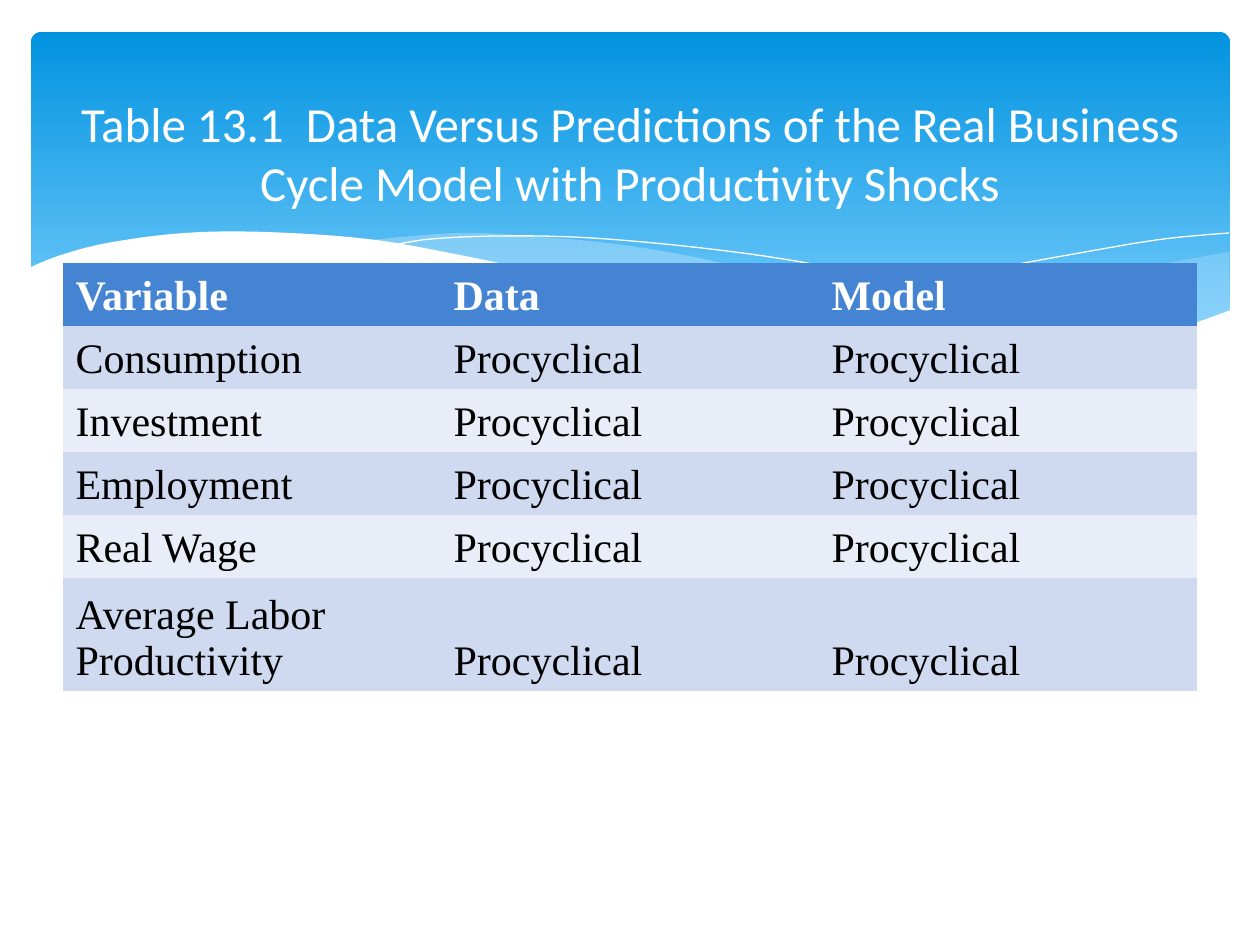
from lxml import etree
from pptx import Presentation
from pptx.dml.color import RGBColor
from pptx.enum.shapes import MSO_SHAPE
from pptx.enum.text import MSO_ANCHOR, MSO_AUTO_SIZE, PP_ALIGN
from pptx.oxml.ns import qn
from pptx.util import Pt

ROUNDED = MSO_SHAPE.ROUNDED_RECTANGLE
MIDDLE, BOTTOM = MSO_ANCHOR.MIDDLE, MSO_ANCHOR.BOTTOM
LEFT, CENTER = PP_ALIGN.LEFT, PP_ALIGN.CENTER
NO_FIT = MSO_AUTO_SIZE.NONE

SCALE = 914400 / 126  # EMU per px

WHITE = RGBColor(0xFF, 0xFF, 0xFF)
BLACK = RGBColor(0x00, 0x00, 0x00)
SKY_TOP = RGBColor(0x02, 0x93, 0xE0)
SKY_BOTTOM = RGBColor(0x83, 0xD3, 0xFE)
WAVE = RGBColor(0xC6, 0xE7, 0xFC)
HEADER = RGBColor(0x45, 0x84, 0xD3)
BANDS = (RGBColor(0xCF, 0xD9, 0xEF), RGBColor(0xE9, 0xED, 0xF7))

TITLE = ("Table 13.1  Data Versus Predictions of the Real Business "
         "Cycle Model with Productivity Shocks")
VARIABLES = ["Consumption", "Investment", "Employment", "Real Wage",
             "Average Labor Productivity"]
ROWS = [("Variable", "Data", "Model")]
ROWS += [(name, "Procyclical", "Procyclical") for name in VARIABLES]

# Knots of the wave curves, in px
RIGHT_TOP = [(1229, 252), (1142, 268), (1048, 290), (949, 312), (833, 334)]
RIGHT_BOTTOM = [(833, 334), (905, 344), (984, 349), (1063, 349),
                (1140, 339), (1196, 324), (1230, 311)]
MIDDLE_TOP = [(1125, 344), (1055, 334), (934, 311), (793, 280), (699, 258),
              (616, 244), (529, 236), (455, 233), (360, 241)]
MIDDLE_BOTTOM = [(360, 241), (456, 256), (566, 280), (668, 302), (779, 325),
                 (876, 340), (974, 350), (1043, 350), (1125, 344)]
LEFT_LINE = [(389, 246), (432, 239), (505, 236), (591, 238), (701, 248),
             (801, 262), (916, 285), (1047, 316), (1143, 343)]
RIGHT_LINE = [(772, 324), (876, 296), (978, 272), (1091, 251),
              (1164, 239), (1229, 233)]
FRONT_TOP = [(1231, 310), (1172, 330), (1103, 344), (1019, 349), (915, 343),
             (789, 325), (667, 301), (563, 277), (460, 255), (368, 239),
             (266, 232), (184, 233), (107, 243), (58, 256), (29, 268)]
FRONT_BASE = [(29, 415), (1231, 415)]


def px(n):
    return round(n * SCALE)


def smooth(knots, steps=6):
    """Return points of a Catmull-Rom curve through the knots."""
    ends = [knots[0], *knots, knots[-1]]
    points = [knots[0]]
    for a, b, c, d in zip(ends, ends[1:], ends[2:], ends[3:]):
        for i in range(1, steps + 1):
            t = i / steps
            points.append(tuple(
                (2 * q + (r - p) * t + (2 * p - 5 * q + 4 * r - s) * t ** 2
                 + (3 * q - p - 3 * r + s) * t ** 3) / 2
                for p, q, r, s in zip(a, b, c, d)))
    return points


def add_outline(slide, points, closed):
    points = [(px(x), px(y)) for x, y in points]
    builder = slide.shapes.build_freeform(*points[0])
    builder.add_line_segments(points[1:], close=closed)
    sp = builder.convert_to_shape()
    sp.shadow.inherit = False
    return sp


def add_wave(slide, points, color, opacity=100):
    sp = add_outline(slide, points, True)
    sp.fill.solid()
    sp.fill.fore_color.rgb = color
    sp.line.fill.background()
    if opacity < 100:
        clr = sp._element.spPr.find(".//" + qn("a:srgbClr"))
        etree.SubElement(clr, qn("a:alpha"), val=str(opacity * 1000))


def add_hairline(slide, knots):
    sp = add_outline(slide, smooth(knots), False)
    sp.fill.background()
    sp.line.color.rgb = WHITE
    sp.line.width = Pt(0)


def add_sky(slide):
    sp = slide.shapes.add_shape(ROUNDED, px(31), px(32), px(1199), px(340))
    sp.adjustments[0] = 0.03
    sp.shadow.inherit = False
    sp.line.fill.background()
    sp.fill.gradient()
    sp.fill.gradient_angle = 270
    for stop, color in zip(sp.fill.gradient_stops, (SKY_TOP, SKY_BOTTOM)):
        stop.color.rgb = color


def set_text(tf, text, size, color, font, bold=False, align=LEFT):
    p = tf.paragraphs[0]
    p.alignment = align
    r = p.add_run()
    r.text = text
    r.font.size = Pt(size)
    r.font.name = font
    r.font.bold = bold
    r.font.color.rgb = color


def place_title(slide):
    title = slide.shapes.title
    title.left, title.top = px(63), px(84)
    title.width, title.height = px(1134), px(136)
    tf = title.text_frame
    tf.word_wrap = True
    tf.auto_size = NO_FIT
    tf.vertical_anchor = MIDDLE
    set_text(tf, TITLE, 28, WHITE, "Calibri", align=CENTER)
    # Bring the title in front of the waves
    title._element.getparent().append(title._element)


def add_data_table(slide):
    heights = [63] * 5 + [113]
    frame = slide.shapes.add_table(len(ROWS), 3, px(63), px(263),
                                   px(1134), px(sum(heights)))
    table = frame.table
    for col in table.columns:
        col.width = px(378)
    for i, (values, height) in enumerate(zip(ROWS, heights)):
        table.rows[i].height = px(height)
        header = i == 0
        for j, value in enumerate(values):
            cell = table.cell(i, j)
            cell.vertical_anchor = BOTTOM
            cell.fill.solid()
            cell.fill.fore_color.rgb = HEADER if header else BANDS[(i - 1) % 2]
            set_text(cell.text_frame, value, 24, WHITE if header else BLACK,
                     "Times New Roman", bold=header)
    # Plain cells without style borders
    style = table._tbl.tblPr.find(qn("a:tableStyleId"))
    style.text = "{2D5ABB26-0587-4C30-8999-92F81FD0307C}"


def main():
    prs = Presentation()
    prs.slide_width, prs.slide_height = px(1260), px(945)
    slide = prs.slides.add_slide(prs.slide_layouts[5])

    # Sky and waves
    add_sky(slide)
    add_wave(slide, smooth(RIGHT_TOP) + smooth(RIGHT_BOTTOM), WAVE, 29)
    add_wave(slide, smooth(MIDDLE_TOP) + smooth(MIDDLE_BOTTOM), WAVE, 40)
    add_hairline(slide, LEFT_LINE)
    add_hairline(slide, RIGHT_LINE)
    add_wave(slide, smooth(FRONT_TOP) + FRONT_BASE, WHITE)

    # Content
    place_title(slide)
    add_data_table(slide)
    prs.save("out.pptx")


if __name__ == "__main__":
    main()
